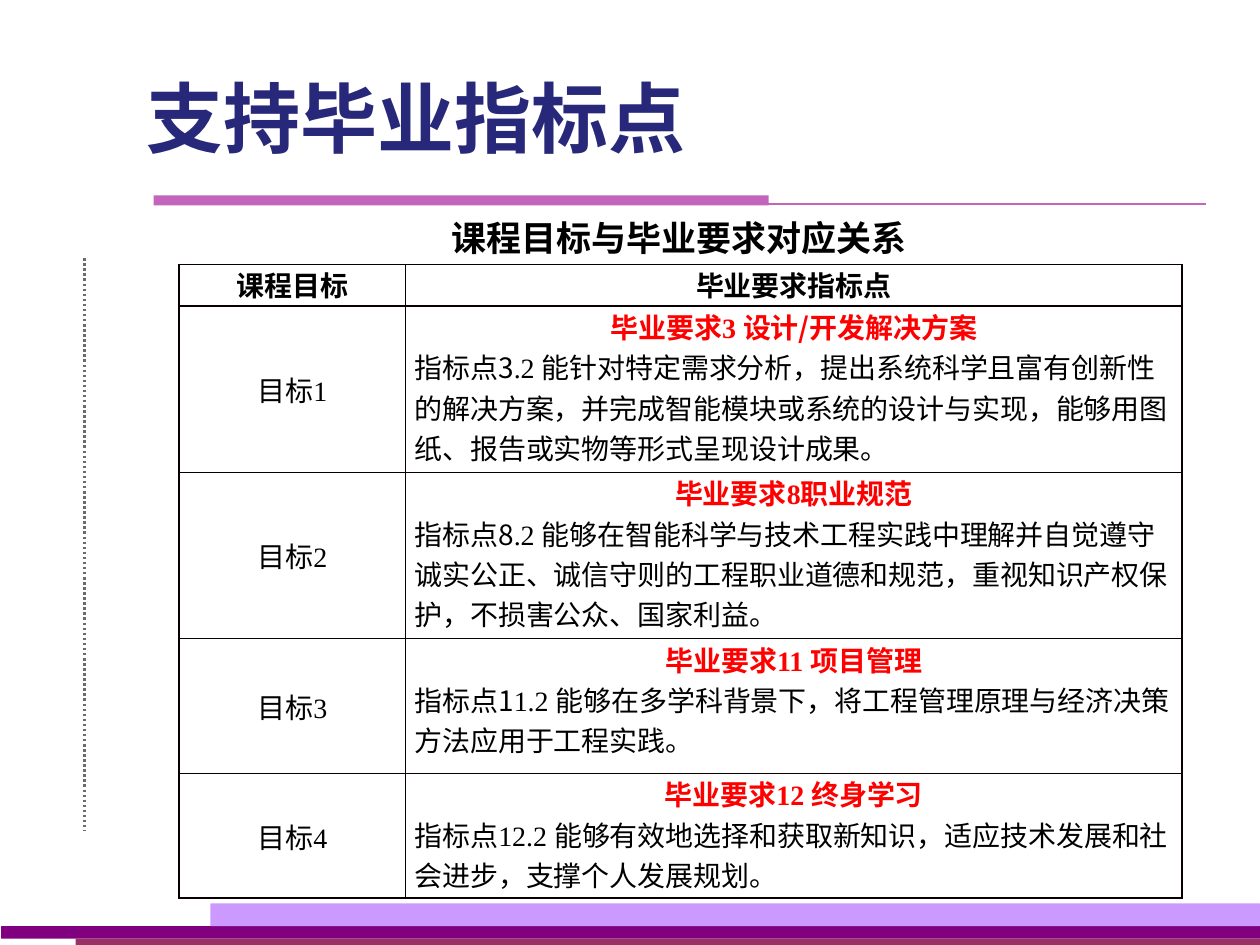
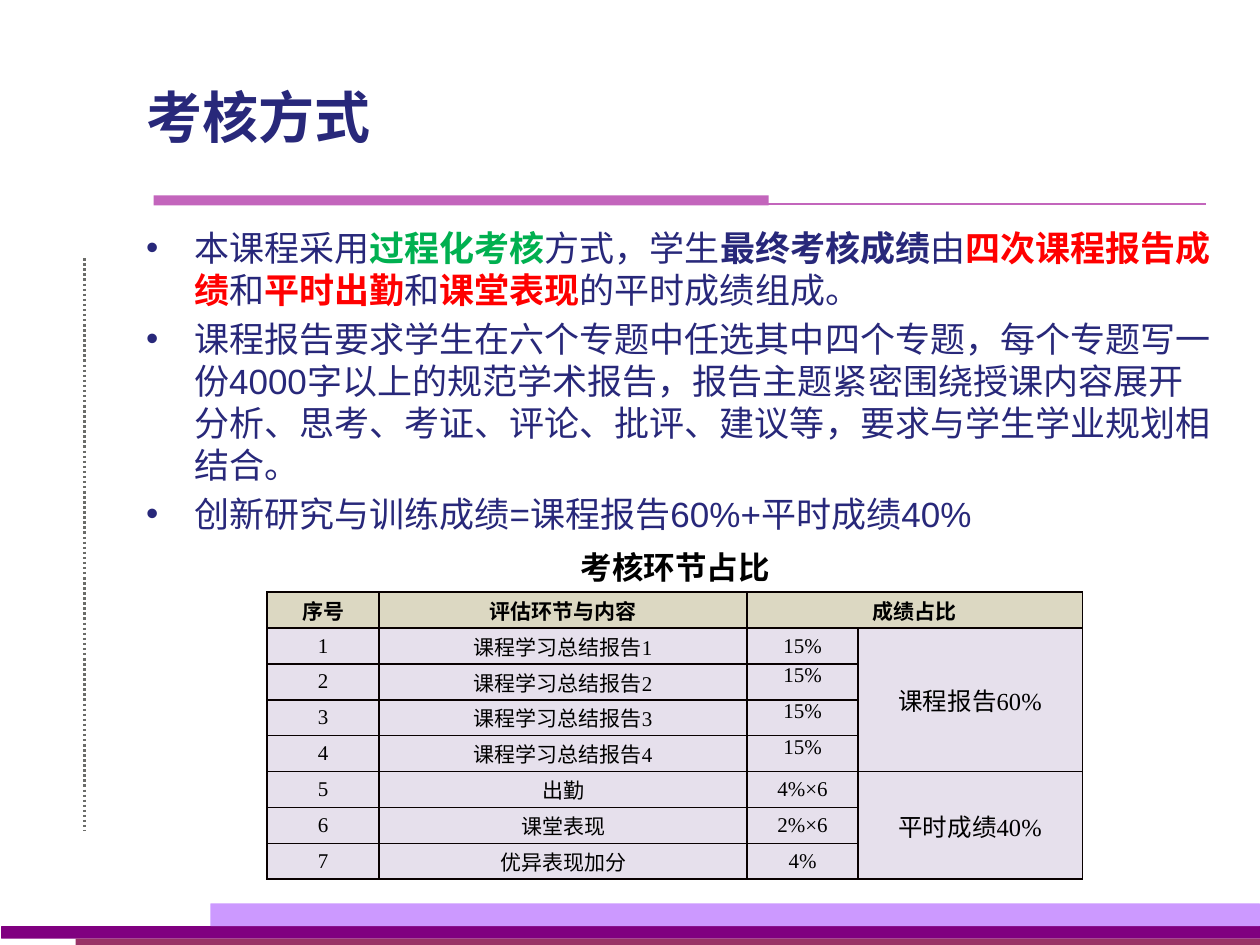
from dataclasses import dataclass

from lxml.etree import SubElement
from pptx import Presentation
from pptx.dml.color import RGBColor
from pptx.enum.dml import MSO_LINE_DASH_STYLE as Dash
from pptx.enum.shapes import MSO_CONNECTOR, MSO_SHAPE
from pptx.enum.text import MSO_ANCHOR as Anchor, MSO_AUTO_SIZE, PP_ALIGN as Align
from pptx.oxml.ns import qn
from pptx.util import Inches, Pt

NAVY = RGBColor(0x28, 0x28, 0x7A)
BLACK = RGBColor(0, 0, 0)
RED = RGBColor(0xFF, 0, 0)
GREEN = RGBColor(0, 0xB0, 0x50)
PURPLE = RGBColor(0x80, 0, 0x80)
PLUM = RGBColor(0x99, 0x33, 0x66)
LILAC = RGBColor(0xCC, 0x99, 0xFF)
ORCHID = RGBColor(0xC3, 0x65, 0xBC)
GREY = RGBColor(0x6B, 0x6C, 0x69)
HEADER_FILL = RGBColor(0xDC, 0xD8, 0xC2)
ROW_FILL = RGBColor(0xE6, 0xE0, 0xEC)
BORDER_HEX = "080000"

SANS, CJK, SERIF = "Arial", "Noto Sans CJK SC", "Times New Roman"


@dataclass
class Band:
    shape: int
    left: float
    top: float
    width: float
    height: float
    color: RGBColor


@dataclass
class Rule:
    start: tuple[float, float]
    end: tuple[float, float]
    color: RGBColor
    weight: float
    dash: int | None = None


@dataclass
class Piece:
    text: str
    font: str = SANS
    color: RGBColor = BLACK
    bold: bool = False


@dataclass
class Goal:
    name: str
    requirement: list[Piece]
    indicator: list[Piece]
    height: float


BANDS = [
    Band(MSO_SHAPE.ROUNDED_RECTANGLE, 0.01, 7.35, 9.99, 0.1, PURPLE),
    Band(MSO_SHAPE.ROUNDED_RECTANGLE, 0.6, 7.45, 9.4, 0.05, PLUM),
    Band(MSO_SHAPE.ROUNDED_RECTANGLE, 1.67, 7.17, 8.33, 0.18, LILAC),
    Band(MSO_SHAPE.RECTANGLE, 1.22, 1.55, 4.88, 0.08, ORCHID),
]
RULES = [
    Rule((0.67, 2.05), (0.67, 6.59), GREY, 1.45, Dash.ROUND_DOT),
    Rule((1.22, 1.62), (9.57, 1.62), ORCHID, 0.75),
]


def goal(number: int, code: str, name: str, lead: str, rest: str,
         detail: str, height: float) -> Goal:
    return Goal(
        str(number),
        [Piece("毕业要求", CJK, RED, True), Piece(code, SERIF, RED, True),
         Piece(name, CJK, RED, True)],
        [Piece(lead, CJK), Piece(rest, SERIF), Piece(detail, CJK)],
        height)


GOALS = [
    goal(1, "3 ", "设计/开发解决方案", "指标点3", ".2 ",
         "能针对特定需求分析，提出系统科学且富有创新性的解决方案，并完成智能模块或"
         "系统的设计与实现，能够用图纸、报告或实物等形式呈现设计成果。", 1.32),
    goal(2, "8", "职业规范", "指标点8", ".2 ",
         "能够在智能科学与技术工程实践中理解并自觉遵守诚实公正、诚信守则的工程职业"
         "道德和规范，重视知识产权保护，不损害公众、国家利益。", 1.32),
    goal(3, "11 ", "项目管理", "指标点1", "1.2 ",
         "能够在多学科背景下，将工程管理原理与经济决策方法应用于工程实践。", 1.07),
    goal(4, "12 ", "终身学习", "指标点", "12.2 ",
         "能够有效地选择和获取新知识，适应技术发展和社会进步，支撑个人发展规划。", 0.99),
]

ASSESSMENT_POINTS = [
    [Piece("本课程采用", color=NAVY), Piece("过程化考核", color=GREEN, bold=True),
     Piece("方式，学生", color=NAVY), Piece("最终考核成绩", color=NAVY, bold=True),
     Piece("由", color=NAVY), Piece("四次课程报告成绩", color=RED, bold=True),
     Piece("和", color=NAVY), Piece("平时出勤", color=RED, bold=True),
     Piece("和", color=NAVY), Piece("课堂表现", color=RED, bold=True),
     Piece("的平时成绩组成。", color=NAVY)],
    [Piece("课程报告要求学生在六个专题中任选其中四个专题，每个专题写一份4000字以上的"
           "规范学术报告，报告主题紧密围绕授课内容展开分析、思考、考证、评论、批评、"
           "建议等，要求与学生学业规划相结合。", color=NAVY)],
    [Piece("创新研究与训练成绩=课程报告60%+平时成绩40%", color=NAVY)],
]
ASSESSMENT_ITEMS = [(f"课程学习总结报告{n}", "15%") for n in range(1, 5)] + [
    ("出勤", "4%×6"), ("课堂表现", "2%×6"), ("优异表现加分", "4%")]


def write(paragraph, pieces: list[Piece], size: float, align=Align.LEFT) -> None:
    paragraph.alignment = align
    for piece in pieces:
        run = paragraph.add_run()
        run.text = piece.text
        run.font.size = Pt(size)
        run.font.bold = piece.bold
        run.font.color.rgb = piece.color
        run.font.name = piece.font
        properties = run._r.get_or_add_rPr()
        properties.set("lang", "zh-CN")
        SubElement(properties, qn("a:ea")).set("typeface", CJK)


def place(shape, left: float, top: float, width: float, height: float) -> None:
    shape.left, shape.top = Inches(left), Inches(top)
    shape.width, shape.height = Inches(width), Inches(height)


def draw_band(slide, band: Band) -> None:
    bar = slide.shapes.add_shape(band.shape, Inches(band.left), Inches(band.top),
                                 Inches(band.width), Inches(band.height))
    if band.shape == MSO_SHAPE.ROUNDED_RECTANGLE:
        bar.adjustments[0] = 0.02
    bar.shadow.inherit = False
    bar.fill.solid()
    bar.fill.fore_color.rgb = band.color
    bar.line.fill.background()


def draw_rule(slide, rule: Rule) -> None:
    line = slide.shapes.add_connector(MSO_CONNECTOR.STRAIGHT,
                                      *map(Inches, rule.start + rule.end))
    line.line.color.rgb = rule.color
    line.line.width = Pt(rule.weight)
    if rule.dash is not None:
        line.line.dash_style = rule.dash
    SubElement(line._element.spPr, qn("a:effectLst"))


def add_themed_slide(prs, layout_index: int, heading: str, size: float):
    slide = prs.slides.add_slide(prs.slide_layouts[layout_index])
    for band in BANDS:
        draw_band(slide, band)
    for rule in RULES:
        draw_rule(slide, rule)
    title = slide.shapes.title
    place(title, 1.06, 0.3, 8.58, 1.25)
    title.text_frame.auto_size = MSO_AUTO_SIZE.NONE
    title.text_frame.vertical_anchor = Anchor.MIDDLE
    write(title.text_frame.paragraphs[0], [Piece(heading, color=NAVY, bold=True)], size)
    return slide


def add_caption(slide, text: str, size: float, *bounds: float) -> None:
    frame = slide.shapes.add_textbox(*map(Inches, bounds)).text_frame
    frame.word_wrap = True
    write(frame.paragraphs[0], [Piece(text, bold=True)], size, Align.CENTER)


def add_grid(slide, left: float, top: float, columns: list[float], heights: list[int]):
    """Add a plain bordered table and return it."""
    widths = [Inches(column) for column in columns]
    table = slide.shapes.add_table(len(heights), len(widths), Inches(left), Inches(top),
                                   sum(widths), sum(heights)).table
    table.first_row = table.horz_banding = False
    for column, width in zip(table.columns, widths):
        column.width = width
    for row, height in zip(table.rows, heights):
        row.height = height
    for cell in table.iter_cells():
        cell.margin_left = cell.margin_right = Inches(0.07)
        cell.margin_top = cell.margin_bottom = 0
        properties = cell._tc.get_or_add_tcPr()
        for side in ("lnL", "lnR", "lnT", "lnB"):
            border = SubElement(properties, qn(f"a:{side}"), w=str(Pt(1)))
            fill = SubElement(border, qn("a:solidFill"))
            SubElement(fill, qn("a:srgbClr")).set("val", BORDER_HEX)
        cell.fill.background()
    return table


def fill_cell(cell, pieces: list[Piece], size: float, anchor=Anchor.MIDDLE) -> None:
    cell.vertical_anchor = anchor
    write(cell.text_frame.paragraphs[0], pieces, size, Align.CENTER)


def build_requirements(prs) -> None:
    slide = add_themed_slide(prs, 5, "支持毕业指标点", 44)
    add_caption(slide, "课程目标与毕业要求对应关系", 20, 1.15, 1.67, 8.48, 0.44)
    heights = [Inches(0.33)] + [Inches(item.height) for item in GOALS]
    table = add_grid(slide, 1.42, 2.1, [1.8, 6.16], heights)
    for column, header in enumerate(("课程目标", "毕业要求指标点")):
        fill_cell(table.cell(0, column), [Piece(header, SERIF, bold=True)], 16, Anchor.TOP)
    for row, item in enumerate(GOALS, 1):
        fill_cell(table.cell(row, 0), [Piece("目标", CJK), Piece(item.name, SERIF)], 16)
        detail = table.cell(row, 1)
        fill_cell(detail, item.requirement, 16, Anchor.TOP)
        write(detail.text_frame.add_paragraph(), item.indicator, 16)


def add_points(slide) -> None:
    body = slide.placeholders[1]
    place(body, 1.06, 1.75, 8.66, 4.95)
    frame = body.text_frame
    frame.auto_size = MSO_AUTO_SIZE.NONE
    for index, pieces in enumerate(ASSESSMENT_POINTS):
        point = frame.add_paragraph() if index else frame.paragraphs[0]
        point.line_spacing = 1.0
        point.space_before = Pt(4 if index else 0)
        properties = point._p.get_or_add_pPr()
        properties.set("marL", str(Inches(0.38)))
        properties.set("indent", str(-Inches(0.38)))
        SubElement(properties, qn("a:buFont")).set("typeface", SANS)
        SubElement(properties, qn("a:buChar")).set("char", "•")
        write(point, pieces, 20)


def build_assessment(prs) -> None:
    slide = add_themed_slide(prs, 1, "考核方式", 32)
    add_points(slide)
    add_caption(slide, "考核环节占比", 18, 2.58, 4.3, 5.56, 0.4)
    row_count = len(ASSESSMENT_ITEMS) + 1
    table = add_grid(slide, 2.12, 4.7, [0.89, 2.92, 0.88, 1.78],
                     [Inches(2.28) // row_count] * row_count)
    for index, cell in enumerate(table.iter_cells()):
        cell.fill.solid()
        cell.fill.fore_color.rgb = HEADER_FILL if index < 4 else ROW_FILL

    # Header and itemised rows
    for column, header in enumerate(("序号", "评估环节与内容", "成绩占比")):
        fill_cell(table.cell(0, column), [Piece(header, SERIF, bold=True)], 12)
    for row, (item, share) in enumerate(ASSESSMENT_ITEMS, 1):
        for column, text in enumerate((str(row), item, share)):
            raised = column == 2 and row in (2, 3, 4)
            fill_cell(table.cell(row, column), [Piece(text, SERIF)], 12,
                      Anchor.TOP if raised else Anchor.MIDDLE)

    # Merged totals
    table.cell(0, 2).merge(table.cell(0, 3))
    for first, last, total in ((1, 4, "课程报告60%"), (5, 7, "平时成绩40%")):
        table.cell(first, 3).merge(table.cell(last, 3))
        fill_cell(table.cell(first, 3), [Piece(total, SERIF)], 14)


def main() -> None:
    prs = Presentation()
    prs.slide_width, prs.slide_height = Inches(10), Inches(7.5)
    build_requirements(prs)
    build_assessment(prs)
    prs.save("out.pptx")


if __name__ == "__main__":
    main()
